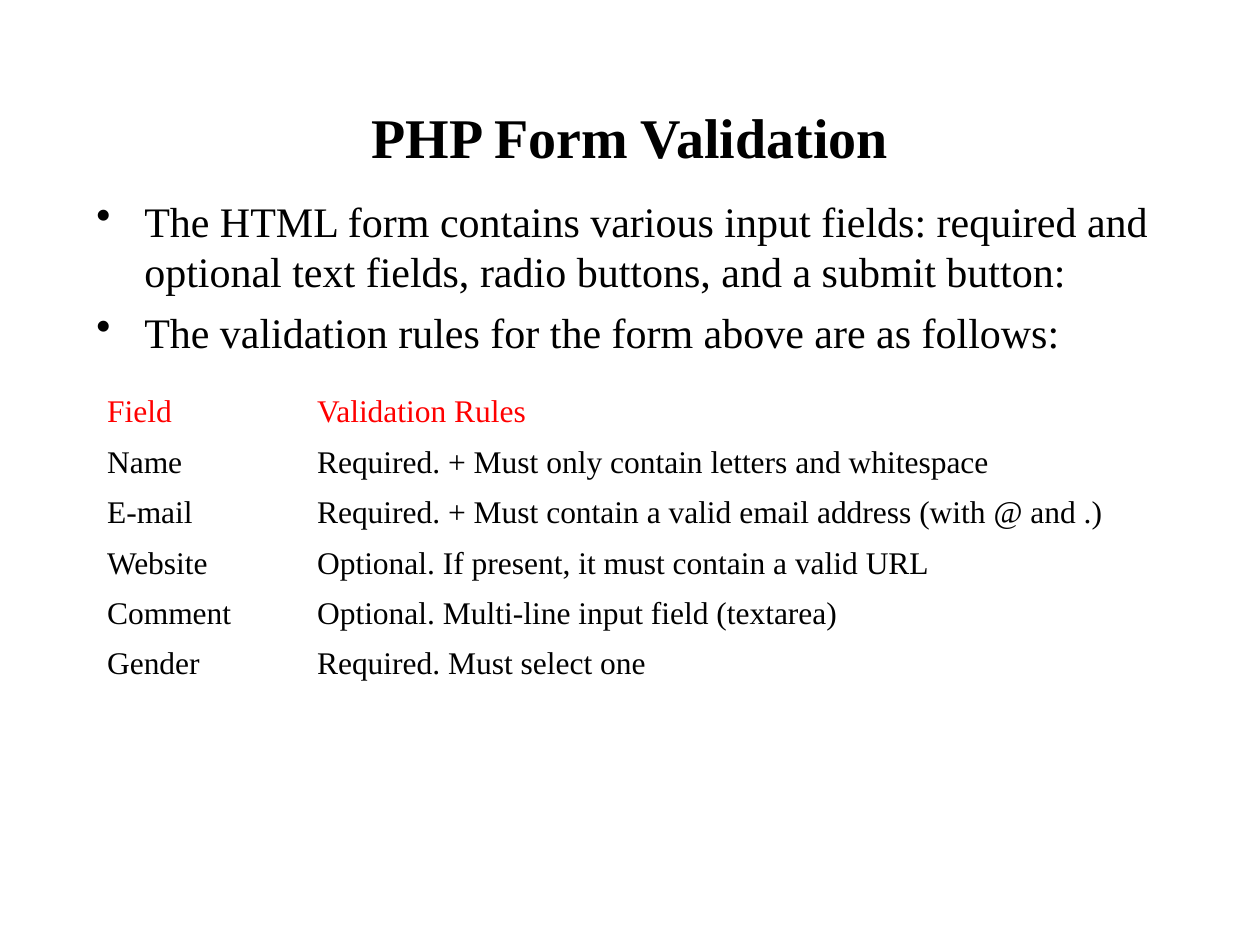
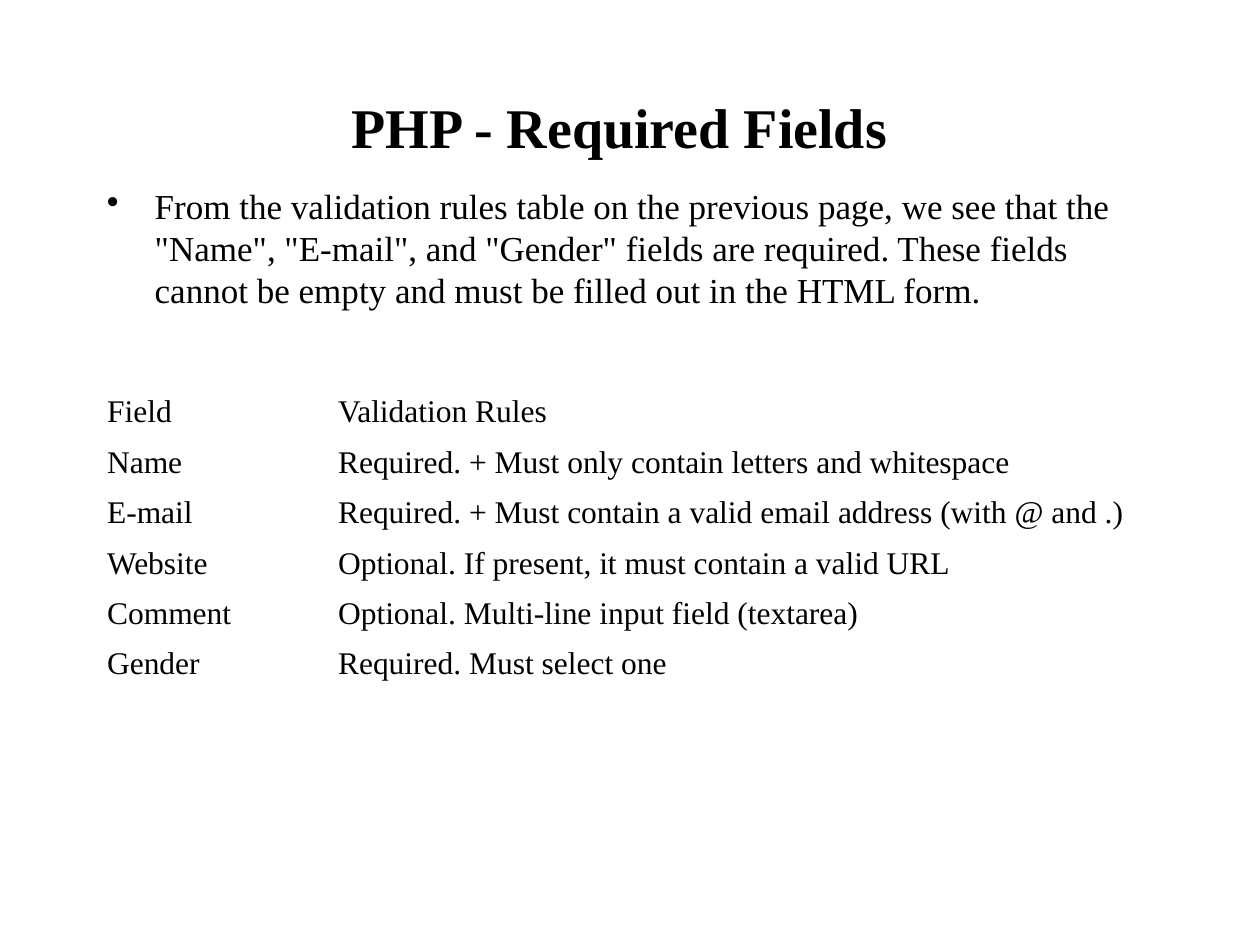
from dataclasses import dataclass

from lxml import etree
from pptx import Presentation
from pptx import util as u
from pptx.dml.color import RGBColor
from pptx.enum import text
from pptx.oxml.ns import qn

WIDE, HIGH = u.Inches(10), u.Inches(7.5)
COLS, ROWS = 120, 90  # square grid cells, twelve to the inch
FONT = "Times New Roman"
INK = {"text": "000000", "head": "FF0000"}
HANG = u.Inches(0.38)
RULES = [
    ("Field", "Validation Rules"),
    ("Name", "Required. + Must only contain letters and whitespace"),
    ("E-mail", "Required. + Must contain a valid email address (with @ and .)"),
    ("Website", "Optional. If present, it must contain a valid URL"),
    ("Comment", "Optional. Multi-line input field (textarea)"),
    ("Gender", "Required. Must select one"),
]


@dataclass(frozen=True)
class Box:
    """An area in grid columns and rows."""
    col: float
    row: float
    wide: float
    high: float

    def emu(self) -> tuple[int, int, int, int]:
        return (across(self.col), down(self.row),
                across(self.wide), down(self.high))


@dataclass(frozen=True)
class Page:
    title: str
    top: Box
    points: list[str]
    body: Box
    size: int
    gap: int
    split: int  # width of the field column, in grid columns
    head: str


TABLE = Box(9, 36.84, 102, 28.8)
PAGES = [
    Page("PHP Form Validation", Box(9, 8, 102, 10),
         ["The HTML form contains various input fields: required and optional "
          "text fields, radio buttons, and a submit button:",
          "The validation rules for the form above are as follows:"],
         Box(8, 18, 105, 69), 24, 6, 20, "head"),
    Page("PHP - Required Fields", Box(6, 7, 106, 10),
         ['From the validation rules table on the previous page, we see that '
          'the "Name", "E-mail", and "Gender" fields are required. These '
          'fields cannot be empty and must be filled out in the HTML form.'],
         Box(9, 17, 102, 64), 20, 5, 22, "text"),
]


def across(cols: float) -> int:
    return round(WIDE * cols / COLS)


def down(rows: float) -> int:
    return round(HIGH * rows / ROWS)


def style(para, size: int, ink: str = "text", bold: bool = False) -> None:
    for run in para.runs:
        run.font.name = FONT
        run.font.size = u.Pt(size)
        run.font.bold = bold
        run.font.color.rgb = RGBColor.from_string(INK[ink])


def bullet(para) -> None:
    """Give the paragraph a round bullet and a hanging indent."""
    props = para._p.get_or_add_pPr()
    props.set("marL", str(HANG))
    props.set("indent", str(-HANG))
    tint = etree.SubElement(props, qn("a:buClr"))
    etree.SubElement(tint, qn("a:srgbClr"), val=INK["text"])
    etree.SubElement(props, qn("a:buChar"), char="•")


def add_title(slide, page: Page) -> None:
    title = slide.shapes.title
    title.left, title.top, title.width, title.height = page.top.emu()
    frame = title.text_frame
    frame.text = page.title
    frame.vertical_anchor = text.MSO_ANCHOR.MIDDLE
    para = frame.paragraphs[0]
    para.alignment = text.PP_ALIGN.CENTER
    style(para, 32, bold=True)


def add_points(slide, page: Page) -> None:
    frame = slide.shapes.add_textbox(*page.body.emu()).text_frame
    frame.word_wrap = True
    frame.text = "\n".join(page.points)
    for para in frame.paragraphs:
        para.space_before = u.Pt(page.gap)
        bullet(para)
        style(para, page.size)


def add_rules(slide, page: Page) -> None:
    table = slide.shapes.add_table(len(RULES), 2, *TABLE.emu()).table
    table.first_row = table.horz_banding = False
    for col, wide in zip(table.columns, (page.split, TABLE.wide - page.split)):
        col.width = across(wide)
    for r, rule in enumerate(RULES):
        for c, words in enumerate(rule):
            cell = table.cell(r, c)
            cell.fill.background()
            cell.vertical_anchor = text.MSO_ANCHOR.MIDDLE
            cell.text_frame.text = words
            style(cell.text_frame.paragraphs[0], 18,
                  "text" if r else page.head)


def main() -> None:
    deck = Presentation()
    deck.slide_width, deck.slide_height = WIDE, HIGH
    plain = deck.slide_layouts.get_by_name("Title Only")
    for page in PAGES:
        slide = deck.slides.add_slide(plain)
        add_title(slide, page)
        add_points(slide, page)
        add_rules(slide, page)
    deck.save("out.pptx")


if __name__ == "__main__":
    main()
